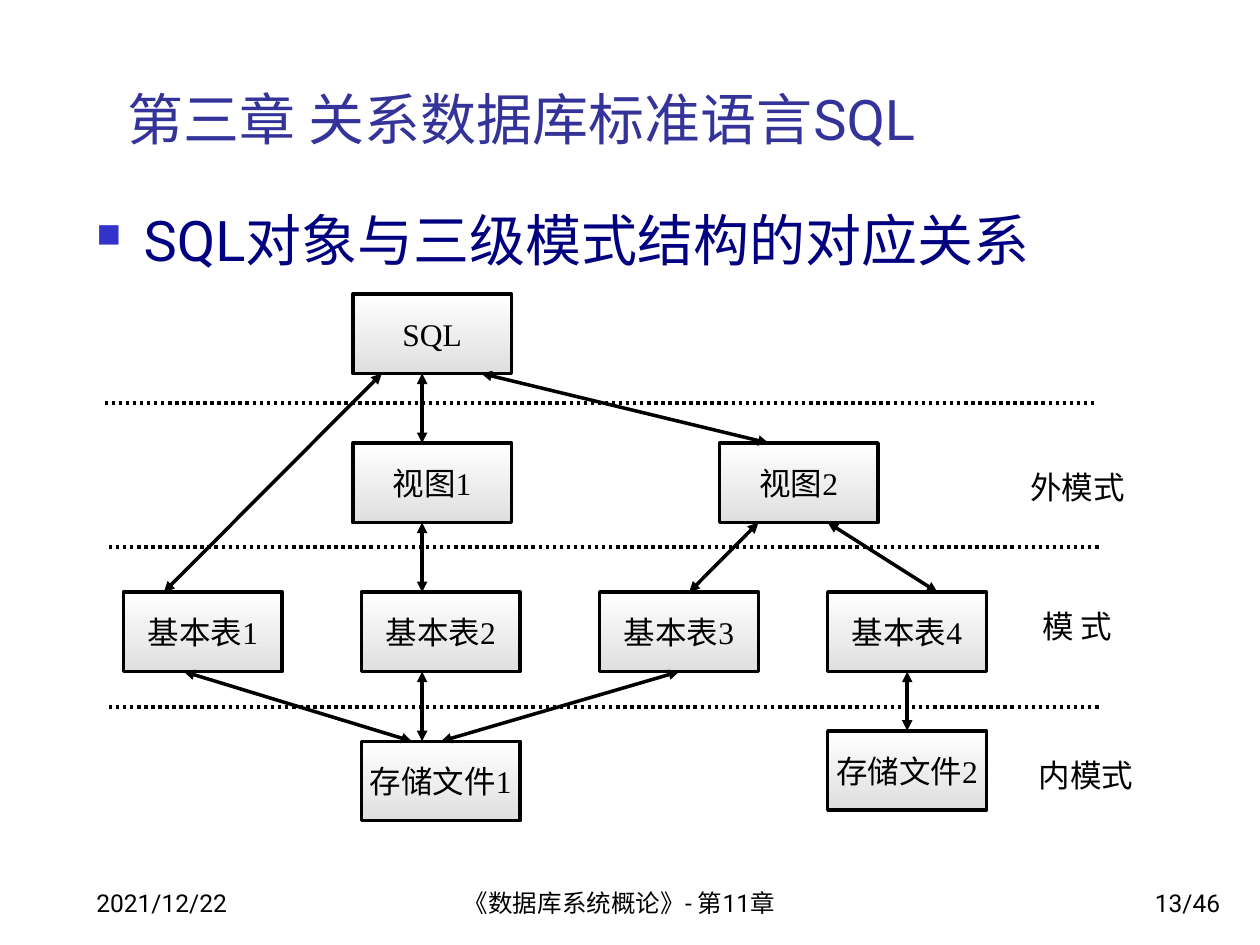
"""Build the slide on SQL objects and the three schema levels."""
from lxml.etree import SubElement
from pptx import Presentation
from pptx.dml.color import RGBColor
from pptx.enum.dml import MSO_LINE
from pptx.enum.shapes import MSO_CONNECTOR, MSO_SHAPE
from pptx.enum.text import MSO_ANCHOR, PP_ALIGN
from pptx.oxml.ns import qn
from pptx.util import Pt

BLACK = RGBColor(0, 0, 0)
WHITE = RGBColor(255, 255, 255)
GREY = RGBColor(0xDF, 0xDF, 0xDF)
BLUE = RGBColor(0x33, 0x33, 0x99)
NAVY = RGBColor(0, 0, 0x80)
SANS, SERIF = "Roboto", "Times New Roman"

TITLE = "第三章 关系数据库标准语言SQL"
HEADING = "SQL对象与三级模式结构的对应关系"
FOOTER = [
    ("2021/12/22", 48, 150, PP_ALIGN.LEFT),
    ("《数据库系统概论》- 第11章", 258, 228, PP_ALIGN.LEFT),
    ("13/46", 554.4, 150, PP_ALIGN.RIGHT),
]
WIDE, HIGH = 90.7, 45.4
ROWS = [168 + 85.2 * i for i in range(4)]
BOXES = {
    "SQL": (201.6, ROWS[0]),
    "视图1": (201.6, ROWS[1]),
    "视图2": (411.1, ROWS[1]),
    "基本表1": (70.6, ROWS[2]),
    "基本表2": (206.6, ROWS[2]),
    "基本表3": (342.7, ROWS[2]),
    "基本表4": (473, ROWS[2]),
    "存储文件1": (206.6, ROWS[3]),
    "存储文件2": (473, 417.6),
}
ARROWS = [
    ("SQL", 218.2, "基本表1", 93.6),
    ("SQL", 241.2, "视图1", 241.2),
    ("视图1", 241.2, "基本表2", 241.2),
    ("基本表2", 241.2, "存储文件1", 241.2),
    ("SQL", 275, "视图2", 439.2),
    ("视图2", 433.4, "基本表3", 393.8),
    ("视图2", 473, "基本表4", 535.7),
    ("基本表1", 105.1, "存储文件1", 235.4),
    ("基本表3", 388.1, "存储文件1", 252),
    ("基本表4", 518.4, "存储文件2", 518.4),
]
BORDERS = [(59.8, 230.4), (62.2, 312.5), (62.2, 403.9)]
LEVELS = [("外模式", 564.5, 264.2), ("模 式", 564.5, 343.4), ("内模式", 569.5, 428.4)]

deck = Presentation()
deck.slide_width, deck.slide_height = Pt(720), Pt(540)
slide = deck.slides.add_slide(deck.slide_layouts[6])
shapes = slide.shapes


def write(shape, text, size=18, font=SERIF, color=BLACK, align=PP_ALIGN.CENTER,
          anchor=MSO_ANCHOR.TOP, wrap=True):
    """Put formatted text in a shape and return its paragraph."""
    frame = shape.text_frame
    frame.word_wrap, frame.vertical_anchor = wrap, anchor
    para = frame.paragraphs[0]
    para.alignment = align
    run = para.add_run()
    run.text = text
    run.font.size, run.font.name = Pt(size), font
    run.font.color.rgb = color
    return para


def area(*rect):
    """Add a text box at left, top, width, height."""
    return shapes.add_textbox(*map(Pt, rect))


def link(*ends, arrow=False):
    """Add a dotted border, or an arrow with two heads."""
    line = shapes.add_connector(MSO_CONNECTOR.STRAIGHT, *map(Pt, ends))
    line.line.color.rgb, line.line.width = BLACK, Pt(2)
    if arrow:
        for tag in ("a:headEnd", "a:tailEnd"):
            SubElement(line.line._get_or_add_ln(), qn(tag), type="triangle")
    else:
        line.line.dash_style = MSO_LINE.ROUND_DOT
    SubElement(line._element.spPr, qn("a:effectLst"))


def bullet(para):
    """Give a paragraph a square bullet with a hanging indent."""
    props = para._p.get_or_add_pPr()
    props.set("marL", str(Pt(27)))
    props.set("indent", str(Pt(-27)))
    tint = SubElement(props, qn("a:buClr"))
    SubElement(tint, qn("a:srgbClr"), val="3333CC")
    SubElement(props, qn("a:buSzPct"), val="60000")
    SubElement(props, qn("a:buChar"), char="■")


write(area(66, 30, 638, 60), TITLE, size=32, font=SANS, color=BLUE,
      align=PP_ALIGN.LEFT, anchor=MSO_ANCHOR.BOTTOM)
bullet(write(area(48, 114, 657.6, 368.4), HEADING, size=32, font=SANS,
             color=NAVY, align=PP_ALIGN.LEFT))

for name, (left, top) in BOXES.items():
    box = shapes.add_shape(MSO_SHAPE.RECTANGLE, *map(Pt, (left, top, WIDE, HIGH)))
    box.shadow.inherit = False
    box.fill.gradient()
    box.fill.gradient_angle = 270
    for stop, shade in zip(box.fill.gradient_stops, (WHITE, GREY)):
        stop.color.rgb = shade
    for stop, place in zip(box.fill.gradient_stops, (0, 1)):
        stop.position = place
    box.line.color.rgb, box.line.width = BLACK, Pt(2)
    write(box, name, anchor=MSO_ANCHOR.MIDDLE, wrap=False)

for src, start, dest, end in ARROWS:
    link(start, BOXES[src][1] + HIGH, end, BOXES[dest][1], arrow=True)
for left, top in BORDERS:
    link(left, top, left + 567, top)
for text, left, top in LEVELS:
    write(area(left, top, 102.2, 28.8), text)
for text, left, width, align in FOOTER:
    write(area(left, 492, width, 36), text, size=14, font=SANS, align=align,
          anchor=MSO_ANCHOR.BOTTOM)

deck.save("out.pptx")
